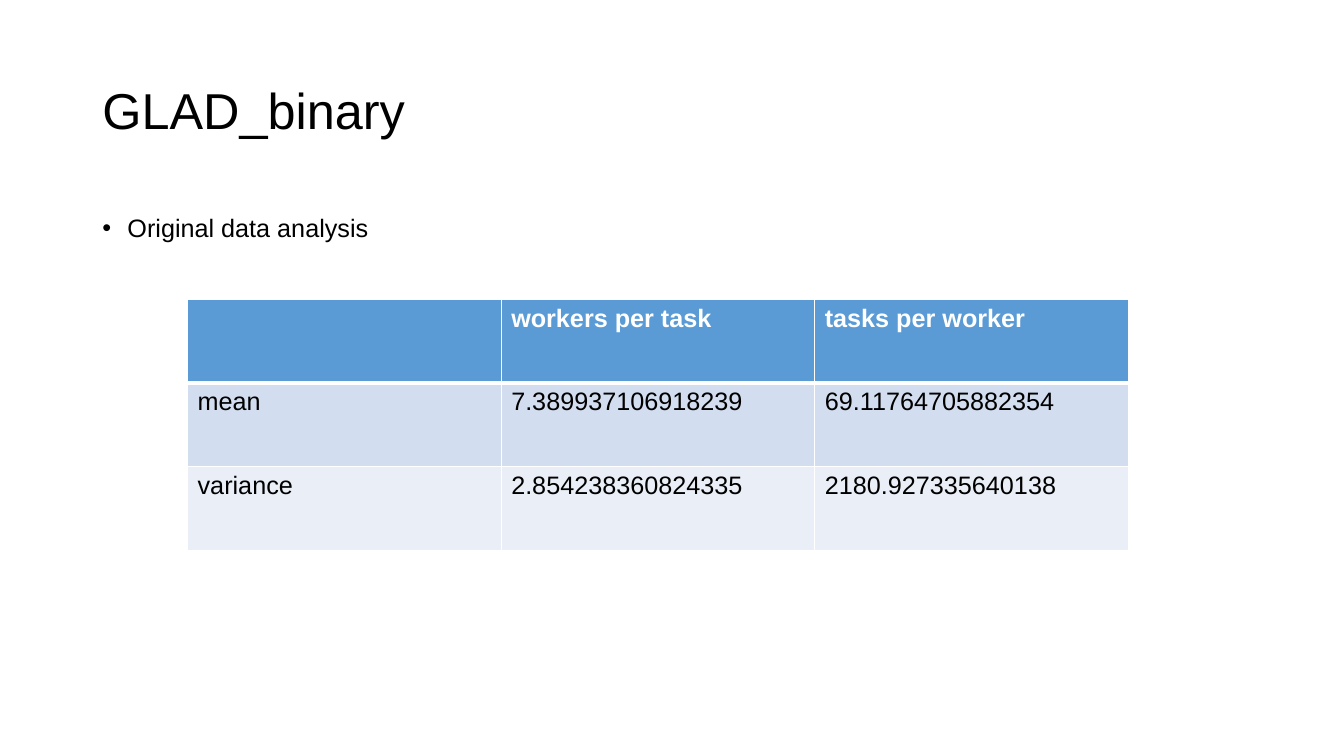
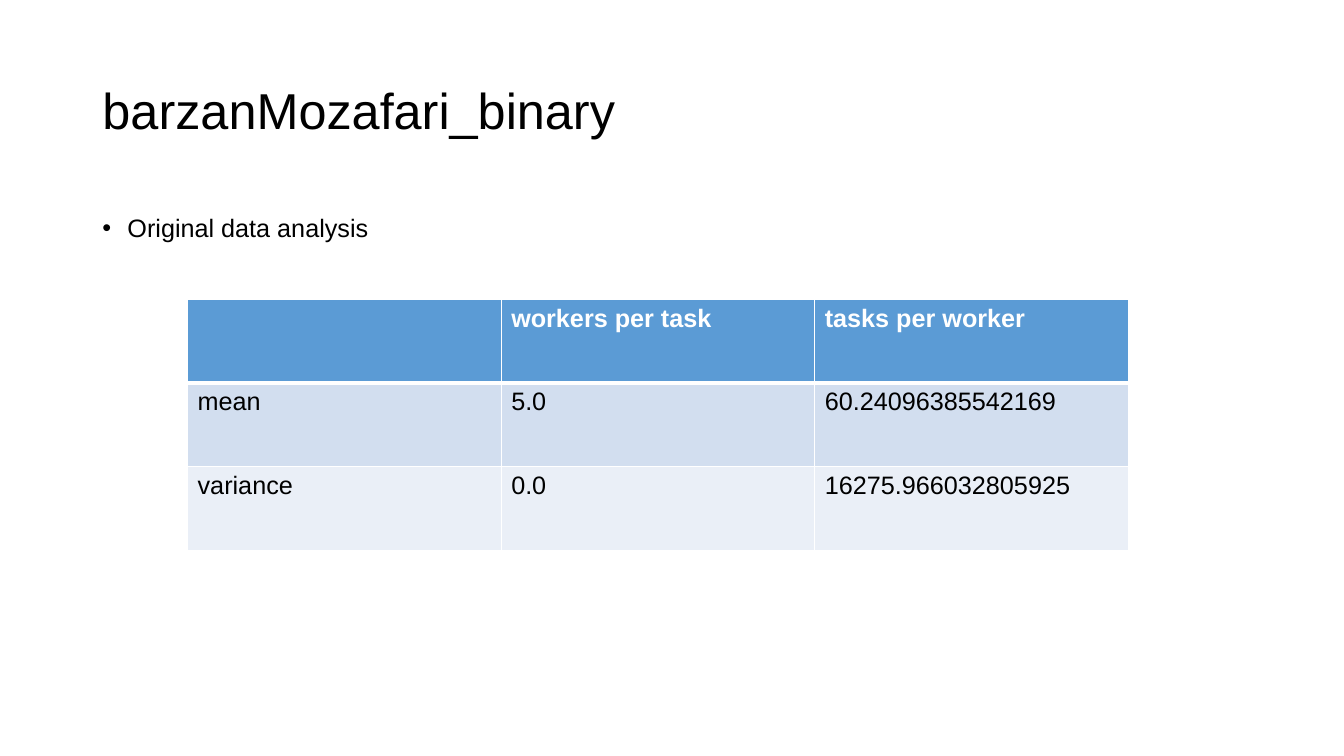
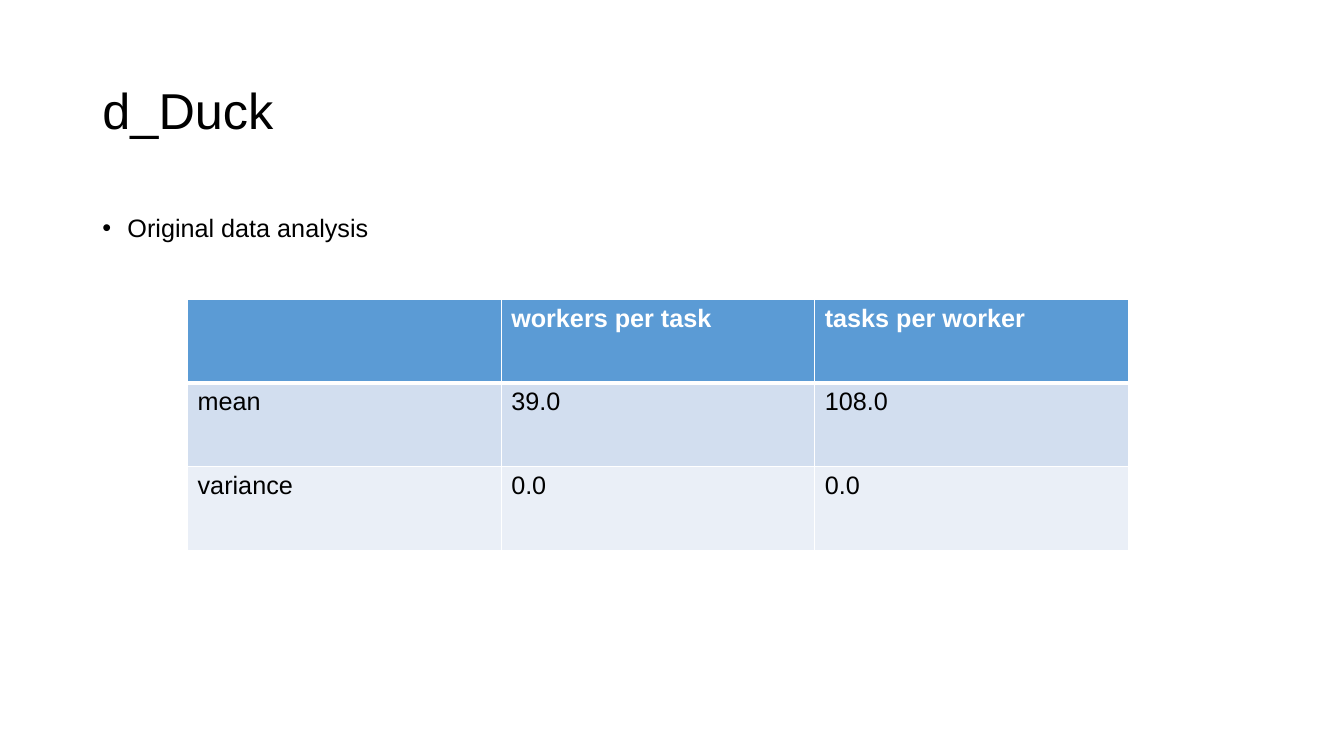
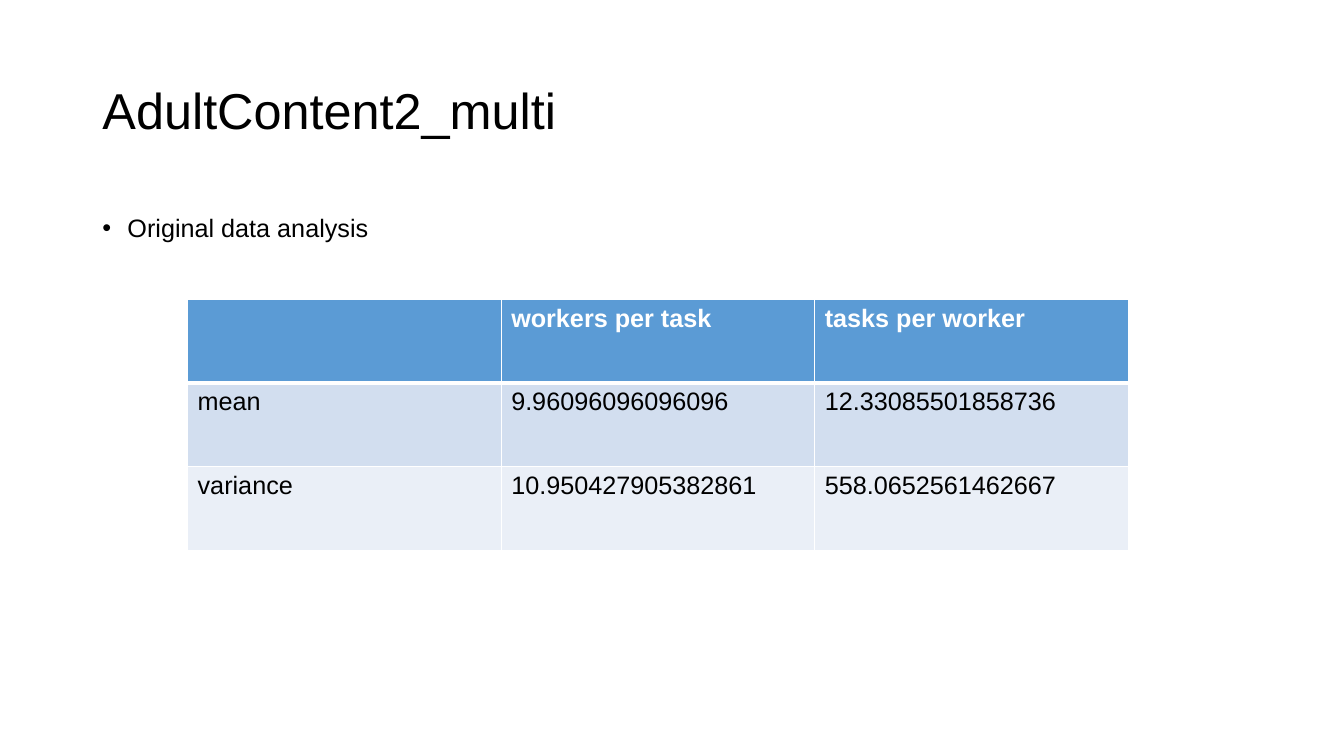
from lxml import etree
from pptx import Presentation
from pptx.dml.color import RGBColor
from pptx.enum.text import MSO_ANCHOR, MSO_AUTO_SIZE, PP_ALIGN
from pptx.oxml.ns import qn
from pptx.util import Pt

BLACK = RGBColor(0x00, 0x00, 0x00)
WHITE = RGBColor(0xFF, 0xFF, 0xFF)
HEADER_BLUE = RGBColor(0x5B, 0x9B, 0xD5)
BAND_FILLS = (RGBColor(0xD2, 0xDE, 0xEF), RGBColor(0xEA, 0xEF, 0xF7))
LEFT, JUSTIFY = PP_ALIGN.LEFT, PP_ALIGN.JUSTIFY
MIDDLE = MSO_ANCHOR.MIDDLE
NO_AUTOFIT = MSO_AUTO_SIZE.NONE
TITLE_ONLY = 5

FONT = "Arial"
MARGIN = 66
CONTENT_WIDTH = 828
TABLE_LEFT, TABLE_TOP = 134, 213.84
COLUMN_WIDTH, ROW_HEIGHT = 224, 59.76
THIN, THICK = 1, 3

COLUMN_HEADINGS = ("", "workers per task", "tasks per worker")
DATASETS = (
    ("GLAD_binary",
     ("7.389937106918239", "69.11764705882354"),
     ("2.854238360824335", "2180.927335640138")),
    ("barzanMozafari_binary",
     ("5.0", "60.24096385542169"),
     ("0.0", "16275.966032805925")),
    ("d_Duck",
     ("39.0", "108.0"),
     ("0.0", "0.0")),
    ("AdultContent2_multi",
     ("9.96096096096096", "12.33085501858736"),
     ("10.950427905382861", "558.0652561462667")),
)


def write_text(frame, text, size=18, color=BLACK, bold=False, align=LEFT,
               line_spacing=1.0, space_before=0):
    paragraph = frame.paragraphs[0]
    paragraph.alignment = align
    paragraph.line_spacing = line_spacing
    paragraph.space_before = Pt(space_before)
    paragraph.font.size = Pt(size)
    if text:
        run = paragraph.add_run()
        run.text = text
        run.font.name = FONT
        run.font.size = Pt(size)
        run.font.bold = bold
        run.font.color.rgb = color
    return paragraph


def set_borders(cell, **widths):
    properties = cell._tc.get_or_add_tcPr()
    for side in "LRTB":
        width = Pt(widths.get(side, THIN))
        line = etree.SubElement(properties, qn(f"a:ln{side}"), w=str(width))
        fill = etree.SubElement(line, qn("a:solidFill"))
        etree.SubElement(fill, qn("a:srgbClr"), val=str(WHITE))


class Deck:
    def __init__(self):
        self.presentation = Presentation()
        self.presentation.slide_width = Pt(960)
        self.presentation.slide_height = Pt(540)
        self.slide = None

    def add_slide(self, title):
        layout = self.presentation.slide_layouts[TITLE_ONLY]
        self.slide = self.presentation.slides.add_slide(layout)
        shape = self.slide.shapes.title
        shape.left, shape.top = Pt(MARGIN), Pt(28.8)
        shape.width, shape.height = Pt(CONTENT_WIDTH), Pt(104.4)
        frame = shape.text_frame
        frame.auto_size = NO_AUTOFIT
        frame.vertical_anchor = MIDDLE
        write_text(frame, title, size=36, line_spacing=0.9)

    def add_bullet(self, text):
        shape = self.slide.shapes.add_textbox(
            Pt(MARGIN), Pt(144), Pt(CONTENT_WIDTH), Pt(342.72))
        frame = shape.text_frame
        frame.word_wrap = True
        paragraph = write_text(frame, text, align=JUSTIFY,
                               line_spacing=1.2, space_before=10)
        properties = paragraph._p.get_or_add_pPr()
        properties.set("marL", str(Pt(18)))
        properties.set("indent", str(Pt(-18)))
        bullet_font = etree.Element(qn("a:buFont"), typeface=FONT)
        bullet = etree.Element(qn("a:buChar"), char="•")
        properties.find(qn("a:spcBef")).addnext(bullet_font)
        bullet_font.addnext(bullet)

    def add_table(self, rows):
        column_count = len(rows[0])
        table = self.slide.shapes.add_table(
            len(rows), column_count, Pt(TABLE_LEFT), Pt(TABLE_TOP),
            Pt(COLUMN_WIDTH * column_count), Pt(ROW_HEIGHT * len(rows))).table
        for row_index, values in enumerate(rows):
            table.rows[row_index].height = Pt(ROW_HEIGHT)
            is_header = row_index == 0
            background = HEADER_BLUE if is_header else BAND_FILLS[(row_index - 1) % 2]
            for column_index, value in enumerate(values):
                cell = table.cell(row_index, column_index)
                set_borders(cell, T=THICK if row_index == 1 else THIN,
                            B=THICK if is_header else THIN)
                cell.fill.solid()
                cell.fill.fore_color.rgb = background
                write_text(cell.text_frame, value, bold=is_header,
                           color=WHITE if is_header else BLACK)


def main():
    deck = Deck()
    for name, means, variances in DATASETS:
        deck.add_slide(name)
        deck.add_bullet("Original data analysis")
        deck.add_table((COLUMN_HEADINGS, ("mean", *means), ("variance", *variances)))
    deck.presentation.save("out.pptx")


if __name__ == "__main__":
    main()
